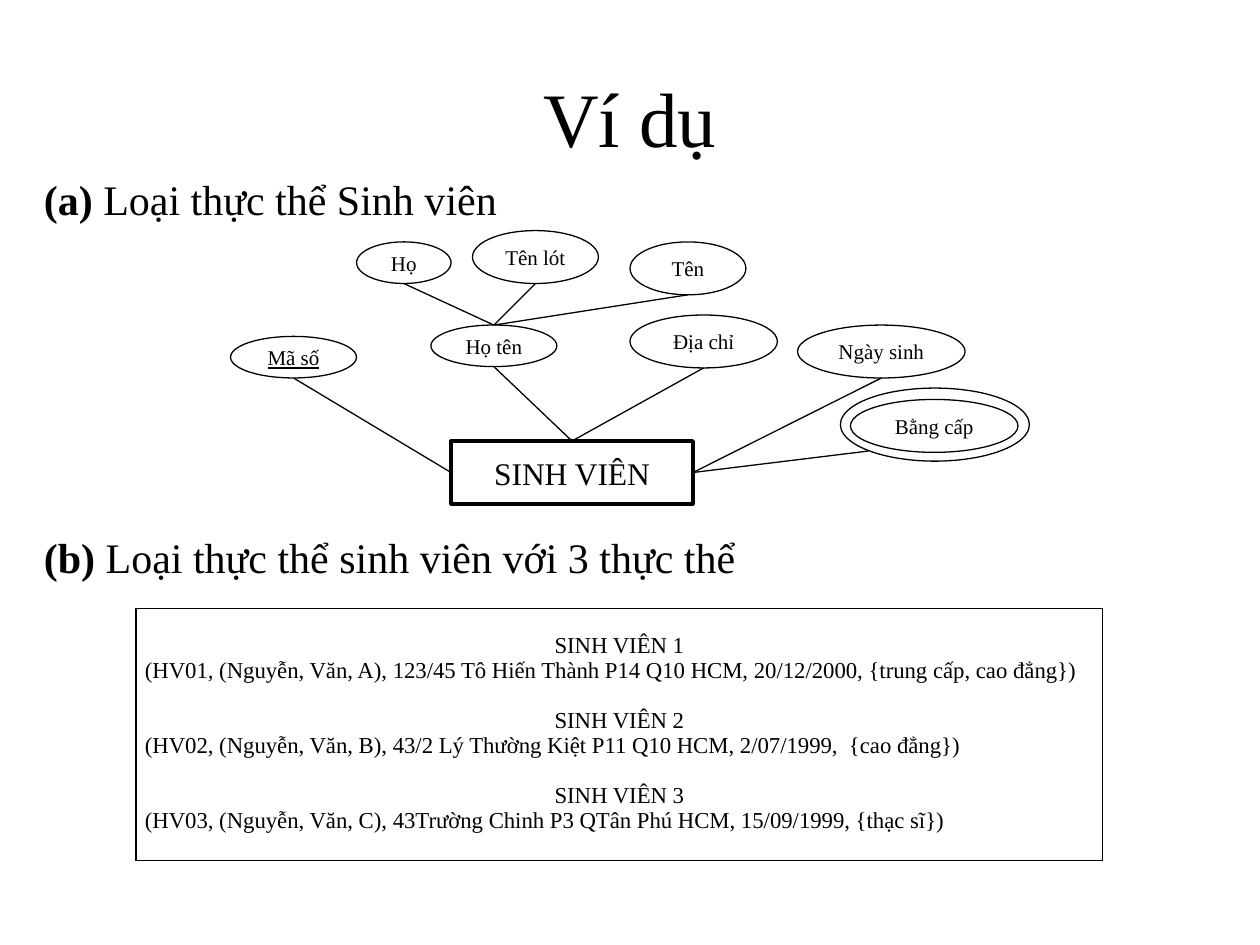
"""Builds the slide with the entity type diagram and its three sample entities."""
from lxml.etree import SubElement
from pptx import Presentation
from pptx.dml.color import RGBColor
from pptx.enum.shapes import MSO_CONNECTOR, MSO_SHAPE
from pptx.enum.text import MSO_ANCHOR, MSO_AUTO_SIZE, PP_ALIGN
from pptx.oxml.ns import qn
from pptx.util import Inches, Pt

BLACK = RGBColor(0, 0, 0)
WHITE = RGBColor(255, 255, 255)
FONT = "Times New Roman"
TABLE_LINE = Pt(14.3)

ENTITIES = [
    ("SINH VIÊN 1", "(HV01, (Nguyễn, Văn, A), 123/45 Tô Hiến Thành P14 Q10 HCM, 20/12/2000, {trung cấp, cao đẳng})"),
    ("SINH VIÊN 2", "(HV02, (Nguyễn, Văn, B), 43/2 Lý Thường Kiệt P11 Q10 HCM, 2/07/1999,  {cao đẳng})"),
    ("SINH VIÊN 3", "(HV03, (Nguyễn, Văn, C), 43Trường Chinh P3 QTân Phú HCM, 15/09/1999, {thạc sĩ})"),
]


class DiagramSlide:
    """Holds the style and the current slide."""

    def __init__(self, presentation):
        self.slide = presentation.slides.add_slide(presentation.slide_layouts[5])
        self.shapes = self.slide.shapes

    def format_paragraph(self, paragraph, size, alignment=PP_ALIGN.LEFT):
        paragraph.alignment = alignment
        for run in paragraph.runs:
            run.font.name = FONT
            run.font.size = Pt(size)
            run.font.color.rgb = BLACK

    def title(self, text):
        title = self.shapes.title
        title.left, title.top = Inches(0.5), Inches(0.3)
        title.width, title.height = Inches(9), Inches(1.25)
        title.text_frame.text = text
        title.text_frame.vertical_anchor = MSO_ANCHOR.MIDDLE
        self.format_paragraph(title.text_frame.paragraphs[0], 44, PP_ALIGN.CENTER)

    def caption(self, label, text, top, width):
        box = self.shapes.add_textbox(Inches(0.25), Inches(top), Inches(width), Inches(0.5))
        box.text_frame.word_wrap = False
        box.text_frame.auto_size = MSO_AUTO_SIZE.SHAPE_TO_FIT_TEXT
        paragraph = box.text_frame.paragraphs[0]
        for part, bold in ((label + " ", True), (text, False)):
            run = paragraph.add_run()
            run.text = part
            run.font.bold = bold
        self.format_paragraph(paragraph, 24)

    def node(self, kind, text, left, top, width, height, size=12, line=0.75, fill=WHITE):
        shape = self.shapes.add_shape(kind, Inches(left), Inches(top), Inches(width), Inches(height))
        shape.shadow.inherit = False
        if fill is None:
            shape.fill.background()
        else:
            shape.fill.solid()
            shape.fill.fore_color.rgb = fill
        shape.line.color.rgb = BLACK
        shape.line.width = Pt(line)
        if text:
            shape.text_frame.text = text
            shape.text_frame.vertical_anchor = MSO_ANCHOR.MIDDLE
            self.format_paragraph(shape.text_frame.paragraphs[0], size, PP_ALIGN.CENTER)
        return shape

    def attribute(self, text, left, top, width, height):
        return self.node(MSO_SHAPE.OVAL, text, left, top, width, height)

    def link(self, start, target, site):
        connector = self.shapes.add_connector(MSO_CONNECTOR.STRAIGHT, *start, *start)
        connector.end_connect(target, site)
        connector.line.color.rgb = BLACK
        connector.line.width = Pt(0.75)
        SubElement(connector._element.spPr, qn("a:effectLst"))

    def link_below(self, attribute, target, site):
        start = attribute.left + attribute.width // 2, attribute.top + attribute.height
        self.link(start, target, site)

    def border(self, cell):
        properties = cell._tc.get_or_add_tcPr()
        for position, side in enumerate(("lnL", "lnR", "lnT", "lnB")):
            line = properties.makeelement(qn(f"a:{side}"), {"w": str(Pt(1))})
            fill = SubElement(line, qn("a:solidFill"))
            SubElement(fill, qn("a:srgbClr"), val=str(BLACK))
            properties.insert(position, line)

    def entity_table(self, entities):
        frame = self.shapes.add_table(1, 1, Inches(1.08), Inches(4.83), Inches(7.67), Inches(2))
        frame.table.first_row = False
        frame.table.horz_banding = False
        cell = frame.table.cell(0, 0)
        cell.fill.background()
        cell.margin_left = cell.margin_right = Inches(0.07)
        cell.margin_top, cell.margin_bottom = TABLE_LINE, 0
        self.border(cell)
        cell.text_frame.text = "\n".join(text for entity in entities for text in entity)
        for index, paragraph in enumerate(cell.text_frame.paragraphs):
            heading = index % 2 == 0
            self.format_paragraph(paragraph, 13, PP_ALIGN.CENTER if heading else PP_ALIGN.LEFT)
            paragraph.line_spacing = TABLE_LINE
            if heading and index:
                paragraph.space_before = TABLE_LINE


def main():
    presentation = Presentation()
    presentation.slide_width, presentation.slide_height = Inches(10), Inches(7.5)
    diagram = DiagramSlide(presentation)
    diagram.title("Ví dụ")

    student = diagram.node(MSO_SHAPE.RECTANGLE, "SINH VIÊN", 3.58, 3.5, 1.92, 0.5, 18, 2, None)
    code = diagram.attribute("Mã số", 1.83, 2.67, 1, 0.33)
    code.text_frame.paragraphs[0].runs[0].font.underline = True
    full_name = diagram.attribute("Họ tên", 3.42, 2.58, 1, 0.33)
    name_parts = [
        diagram.attribute("Họ", 2.83, 1.92, 0.75, 0.33),
        diagram.attribute("Tên lót", 3.75, 1.83, 1, 0.42),
        diagram.attribute("Tên", 5, 1.92, 0.92, 0.42),
    ]
    address = diagram.attribute("Địa chỉ", 5, 2.5, 1.17, 0.42)
    birthday = diagram.attribute("Ngày sinh", 6.33, 2.58, 1.33, 0.42)
    for part in name_parts:
        diagram.link_below(part, full_name, 0)
    for attribute, site in ((code, 1), (full_name, 0), (address, 0), (birthday, 3)):
        diagram.link_below(attribute, student, site)

    diagram.entity_table(ENTITIES)
    diagram.caption("(a)", "Loại thực thể Sinh viên", 1.33, 3.83)
    diagram.caption("(b)", "Loại thực thể sinh viên với 3 thực thể", 4.17, 5.74)

    diagram.attribute("Bằng cấp", 6.75, 3.17, 1.33, 0.42)
    diagram.link((Inches(6.89), Inches(3.58)), student, 3)
    diagram.node(MSO_SHAPE.OVAL, "", 6.67, 3.08, 1.5, 0.58, fill=None)

    presentation.save("out.pptx")


if __name__ == "__main__":
    main()
